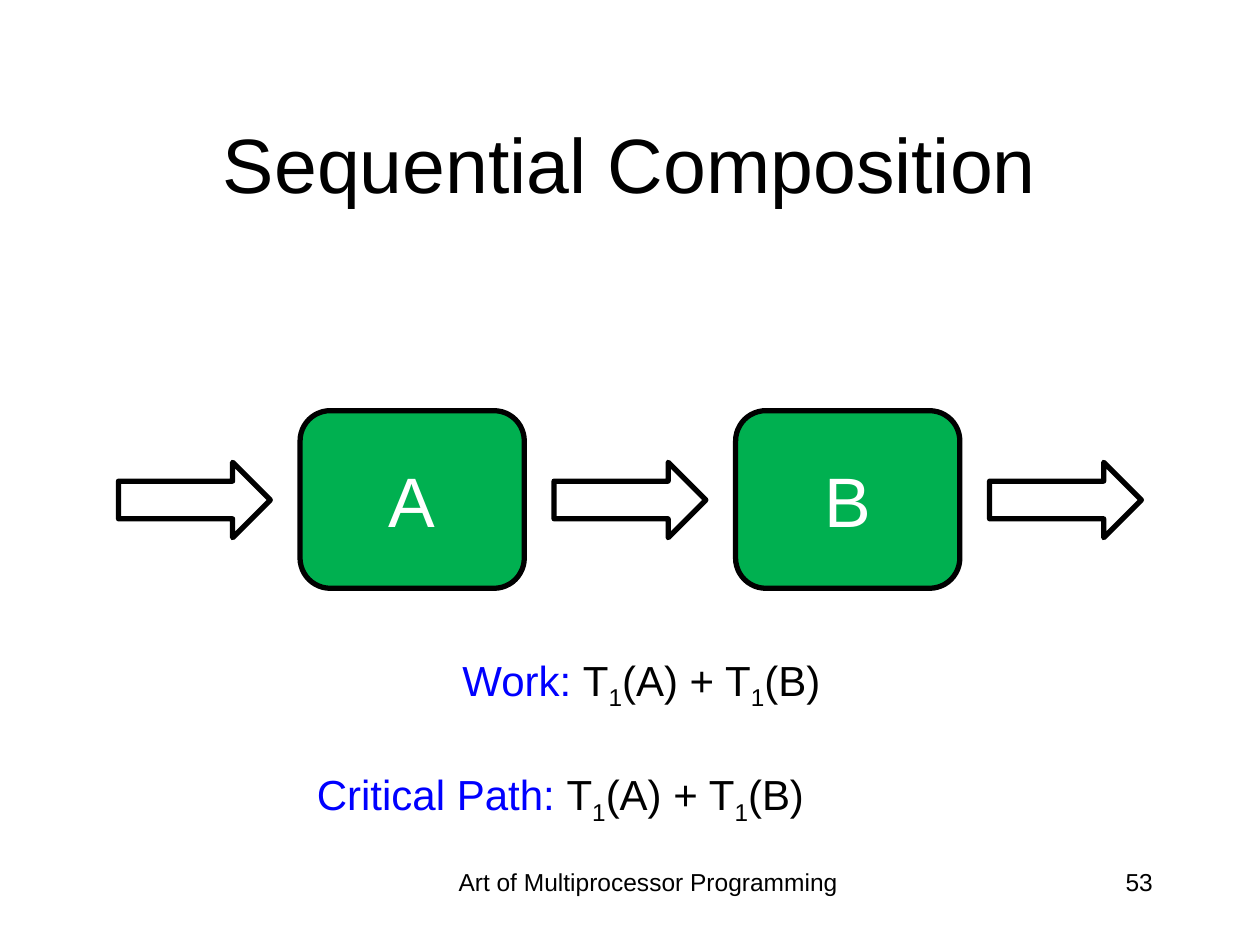
from lxml import etree
from pptx import Presentation
from pptx.dml.color import RGBColor
from pptx.enum.shapes import MSO_SHAPE
from pptx.enum.text import MSO_ANCHOR, PP_ALIGN
from pptx.oxml.ns import qn
from pptx.util import Cm, Pt

ROUNDED = MSO_SHAPE.ROUNDED_RECTANGLE
ARROW = MSO_SHAPE.RIGHT_ARROW
TOP, MIDDLE = MSO_ANCHOR.TOP, MSO_ANCHOR.MIDDLE
CENTER, RIGHT = PP_ALIGN.CENTER, PP_ALIGN.RIGHT
BLACK, WHITE, GREEN, BLUE = "000000", "FFFFFF", "00B050", "0000FF"


def color(hex_code):
    return RGBColor.from_string(hex_code)


class SlideWriter:
    font = "Arial"
    line_width = Pt(3)

    def __init__(self, page):
        self.page = page

    def style(self, span, size, hex_code):
        span.font.name = self.font
        span.font.size = Pt(size)
        span.font.color.rgb = color(hex_code)

    def text(self, place, words, size, align, anchor=TOP):
        box = self.page.shapes.add_textbox(*map(Cm, place))
        frame = box.text_frame
        frame.word_wrap = True
        frame.vertical_anchor = anchor
        frame.text = words
        para = frame.paragraphs[0]
        para.alignment = align
        self.style(para.runs[0], size, BLACK)

    def shape(self, kind, place):
        shape = self.page.shapes.add_shape(kind, *map(Cm, place))
        shape.shadow.inherit = False
        shape.fill.background()
        shape.line.color.rgb = color(BLACK)
        shape.line.width = self.line_width
        outline = shape.element.spPr.find(qn("a:ln"))
        etree.SubElement(outline, qn("a:round"))
        return shape

    def task(self, place, name):
        task = self.shape(ROUNDED, place)
        task.adjustments[0] = 0.17
        task.fill.solid()
        task.fill.fore_color.rgb = color(GREEN)
        frame = task.text_frame
        frame.vertical_anchor = MIDDLE
        frame.text = name
        para = frame.paragraphs[0]
        para.alignment = CENTER
        self.style(para.runs[0], 40, WHITE)

    def formula(self, place, label):
        box = self.page.shapes.add_textbox(*map(Cm, place))
        box.text_frame.word_wrap = False
        para = box.text_frame.paragraphs[0]
        para.alignment = RIGHT
        for words in (label, "T", "1", "(A) + T", "1", "(B)"):
            span = para.add_run()
            span.text = words
            self.style(span, 24, BLUE if words == label else BLACK)
            if words == "1":
                span.font._element.set("baseline", "-25000")


def main():
    deck = Presentation()
    deck.slide_width, deck.slide_height = Cm(25.4), Cm(19.05)
    writer = SlideWriter(deck.slides.add_slide(deck.slide_layouts[6]))

    writer.text((1.9, 1.7, 21.6, 3.18), "Sequential Composition", 44, CENTER, MIDDLE)
    writer.text((8.69, 17.35, 8.76, 1.27), "Art of Multiprocessor Programming", 14, CENTER)
    writer.text((18.21, 17.35, 5.28, 1.27), "53", 14, RIGHT)

    pitch = 8.78
    for step in range(3):
        writer.shape(ARROW, (2.39 + step * pitch, 9.32, 3.06, 1.52))
    for step, name in enumerate("AB"):
        writer.task((6.05 + step * pitch, 8.28, 4.52, 3.58), name)

    writer.formula((9.04, 13.06, 7.75, 1.42), "Work: ")
    writer.formula((6.1, 15.37, 10.36, 1.42), "Critical Path: ")
    deck.save("out.pptx")


if __name__ == "__main__":
    main()
